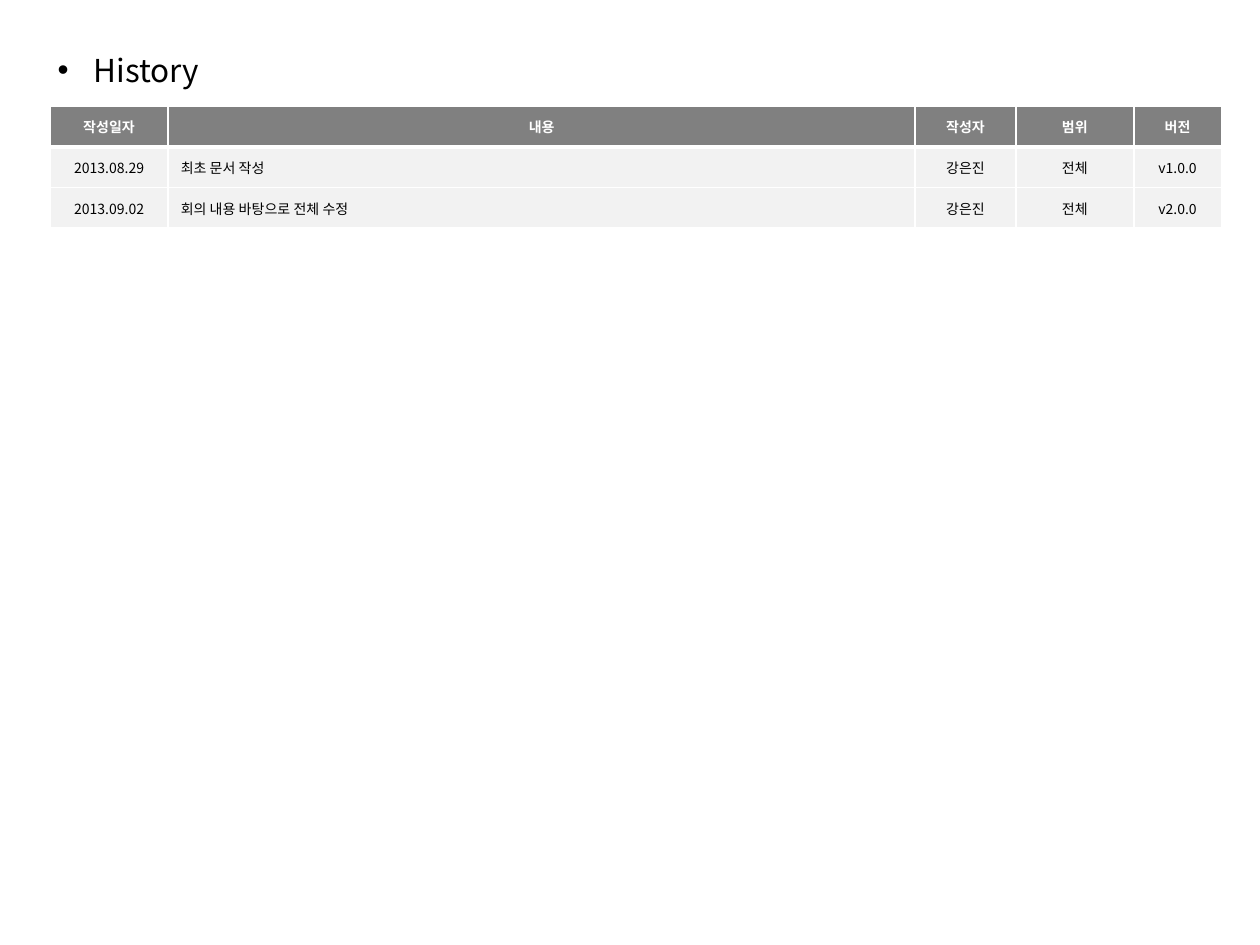
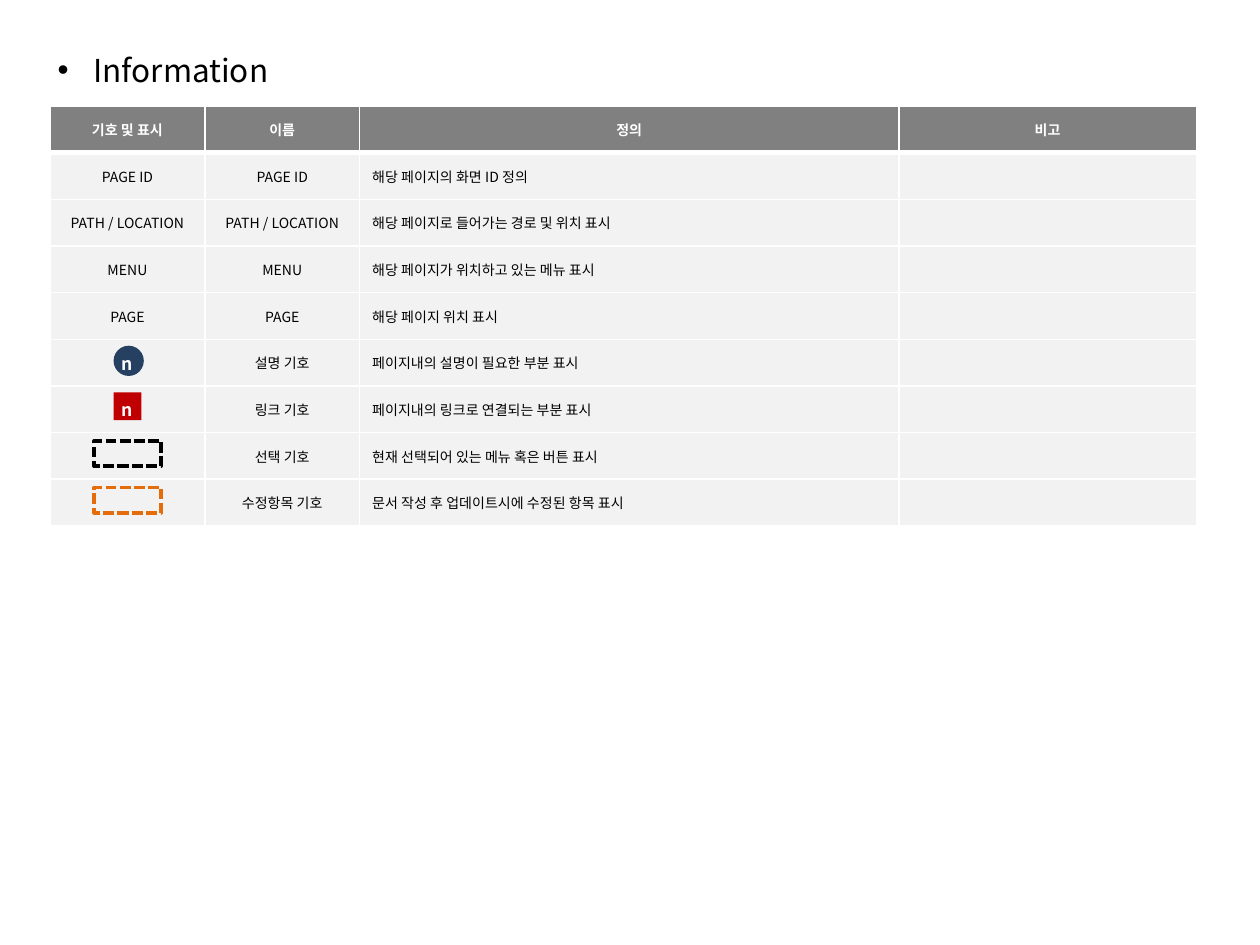
from lxml.etree import SubElement
from pptx import Presentation
from pptx.dml.color import RGBColor as RGB
from pptx.enum.dml import MSO_LINE_DASH_STYLE as DASH
from pptx.enum.shapes import MSO_SHAPE as SHAPE
from pptx.enum.text import MSO_ANCHOR as ANCHOR, MSO_AUTO_SIZE as AUTO, PP_ALIGN as ALIGN
from pptx.oxml.ns import qn
from pptx.util import Cm, Pt

FONT = "Noto Sans CJK KR"
COLORS = {
    "text": "000000",
    "white": "FFFFFF",
    "header": "808080",
    "body": "F2F2F2",
    "note": "254061",
    "link": "C00000",
    "select": "000000",
    "modify": "E46C0A",
}
TABLE_LEFT, TABLE_TOP = 1.01, 2.14
HISTORY_ROW, INFO_ROW = 0.82, 0.94
BADGE_LEFT = 2.29

HISTORY = [
    ["작성일자", "내용", "작성자", "범위", "버전"],
    ["2013.08.29", "최초 문서 작성", "강은진", "전체", "v1.0.0"],
    ["2013.09.02", "회의 내용 바탕으로 전체 수정", "강은진", "전체", "v2.0.0"],
]
INFORMATION = [
    ["기호 및 표시", "이름", "정의", "비고"],
    ["PAGE ID", "PAGE ID", "해당 페이지의 화면 ID 정의", ""],
    ["PATH / LOCATION", "PATH / LOCATION", "해당 페이지로 들어가는 경로 및 위치 표시", ""],
    ["MENU", "MENU", "해당 페이지가 위치하고 있는 메뉴 표시", ""],
    ["PAGE", "PAGE", "해당 페이지 위치 표시", ""],
    ["", "설명 기호", "페이지내의 설명이 필요한 부분 표시", ""],
    ["", "링크 기호", "페이지내의 링크로 연결되는 부분 표시", ""],
    ["", "선택 기호", "현재 선택되어 있는 메뉴 혹은 버튼 표시", ""],
    ["", "수정항목 기호", "문서 작성 후 업데이트시에 수정된 항목 표시", ""],
]


def color(name):
    return RGB.from_string(COLORS[name])


def add_run(p, text, size, ink="text", bold=False):
    r = p.add_run()
    r.text = text
    r.font.size = Pt(size)
    r.font.name = FONT
    r.font.bold = bold
    r.font.color.rgb = color(ink)
    SubElement(r.font._element, qn("a:ea"), typeface=FONT)


def add_titled_slide(prs, text):
    slide = prs.slides.add_slide(prs.slide_layouts[5])
    title = slide.shapes.title
    title.left, title.top, title.width, title.height = Cm(0.91), Cm(0.91), Cm(7.85), Cm(0.99)
    tf = title.text_frame
    tf.word_wrap = True
    tf.auto_size = AUTO.NONE
    tf.vertical_anchor = ANCHOR.MIDDLE
    p = tf.paragraphs[0]
    p.alignment = ALIGN.LEFT
    pPr = p._p.get_or_add_pPr()
    pPr.set("marL", str(Cm(0.72)))
    pPr.set("indent", str(-Cm(0.72)))
    SubElement(pPr, qn("a:buFont"), typeface="Arial")
    SubElement(pPr, qn("a:buChar"), char="•")
    add_run(p, text, 18)
    return slide


def set_borders(cell, top, bottom):
    tcPr = cell._tc.get_or_add_tcPr()
    for side, width in (("L", 1), ("R", 1), ("T", top), ("B", bottom)):
        ln = SubElement(tcPr, qn(f"a:ln{side}"), w=str(Pt(width)))
        fill = SubElement(ln, qn("a:solidFill"))
        SubElement(fill, qn("a:srgbClr"), val=COLORS["white"])


def fill_cell(cell, text, row, centered):
    header = row == 0
    set_borders(cell, 3 if row == 1 else 1, 3 if header else 1)
    cell.fill.solid()
    cell.fill.fore_color.rgb = color("header" if header else "body")
    cell.vertical_anchor = ANCHOR.MIDDLE
    p = cell.text_frame.paragraphs[0]
    p.alignment = ALIGN.CENTER if header or centered else ALIGN.LEFT
    if text:
        add_run(p, text, 8, "white" if header else "text", header)
    else:
        SubElement(p._p, qn("a:endParaRPr"), sz="800")


def add_grid(slide, rows, widths, row_height, left_column):
    frame = slide.shapes.add_table(len(rows), len(widths), Cm(TABLE_LEFT), Cm(TABLE_TOP),
                                   Cm(sum(widths)), Cm(row_height * len(rows)))
    table = frame.table
    table.horz_banding = False
    for column, width in zip(table.columns, widths):
        column.width = Cm(width)
    for i, texts in enumerate(rows):
        table.rows[i].height = Cm(row_height)
        for j, text in enumerate(texts):
            fill_cell(table.cell(i, j), text, i, j != left_column)


def info_row_top(row):
    return TABLE_TOP + row * INFO_ROW


def add_badge(slide, kind, row, size, fill):
    top = info_row_top(row)
    group = slide.shapes.add_group_shape()
    sp = group.shapes.add_shape(kind, Cm(BADGE_LEFT), Cm(top + 0.13), Cm(size), Cm(size))
    sp.shadow.inherit = False
    sp.fill.solid()
    sp.fill.fore_color.rgb = color(fill)
    sp.line.fill.background()
    box = group.shapes.add_textbox(Cm(BADGE_LEFT - 0.08), Cm(top - 0.07), Cm(1.07), Cm(0.81))
    tf = box.text_frame
    tf.word_wrap = True
    tf.auto_size = AUTO.SHAPE_TO_FIT_TEXT
    p = tf.paragraphs[0]
    p.line_spacing = 1.5
    add_run(p, "n", 10, "white", True)


def add_dashed_box(slide, row, ink):
    sp = slide.shapes.add_shape(SHAPE.RECTANGLE, Cm(1.9), Cm(info_row_top(row) + 0.17),
                                Cm(1.35), Cm(0.51))
    sp.shadow.inherit = False
    sp.fill.background()
    sp.line.color.rgb = color(ink)
    sp.line.width = Pt(2)
    sp.line.dash_style = DASH.SQUARE_DOT


def main():
    prs = Presentation()
    prs.slide_width, prs.slide_height = Cm(25.4), Cm(19.05)

    history = add_titled_slide(prs, "History")
    add_grid(history, HISTORY, [2.38, 15.06, 2.03, 2.38, 1.76], HISTORY_ROW, 1)

    info = add_titled_slide(prs, "Information")
    add_grid(info, INFORMATION, [3.12, 3.12, 10.87, 6], INFO_ROW, 2)
    add_badge(info, SHAPE.OVAL, 5, 0.61, "note")
    add_badge(info, SHAPE.RECTANGLE, 6, 0.56, "link")
    add_dashed_box(info, 7, "select")
    add_dashed_box(info, 8, "modify")

    prs.save("out.pptx")


if __name__ == "__main__":
    main()
